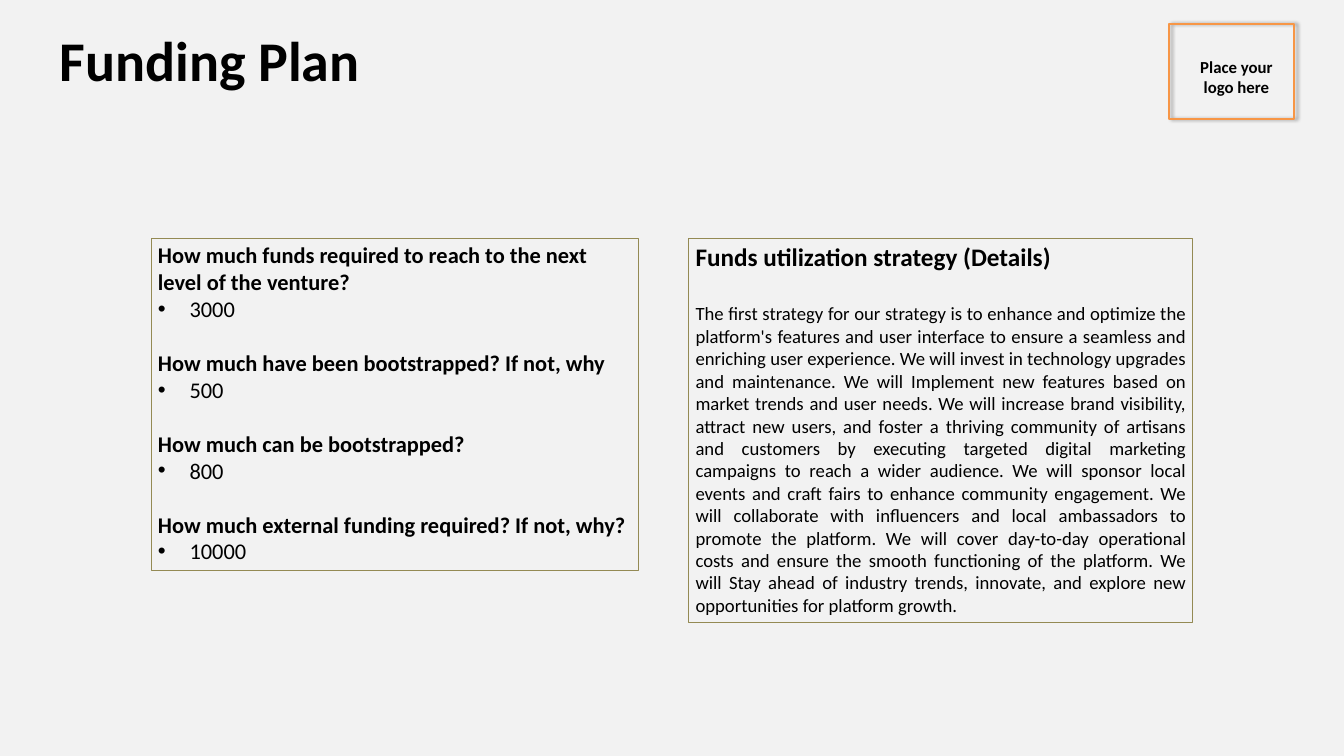
"""Build the Funding Plan slide."""
from lxml.etree import SubElement
from pptx import Presentation
from pptx.dml.color import RGBColor
from pptx.enum.shapes import MSO_SHAPE
from pptx.enum.text import MSO_ANCHOR, MSO_AUTO_SIZE, PP_ALIGN
from pptx.oxml.ns import qn
from pptx.util import Inches, Pt


def color(hex_value):
    return RGBColor.from_string(hex_value)


def format_paragraph(paragraph, text, size, bold=True, align=PP_ALIGN.LEFT, before=0, bullet=False):
    paragraph.text = text
    properties = paragraph._p.get_or_add_pPr()
    indent = Inches(0.47) if bullet else 0
    properties.set("marL", str(indent))
    properties.set("indent", str(-indent))
    if bullet:
        SubElement(properties, qn("a:buFont"), typeface="Arial")
        SubElement(properties, qn("a:buChar"), char="•")
    else:
        SubElement(properties, qn("a:buNone"))
    paragraph.alignment = align
    paragraph.space_before = Pt(before)
    font = paragraph.font
    font.name, font.size, font.bold = "Calibri", Pt(size), bold
    font.color.rgb = color("000000")


QUESTIONS = [
    ("How much funds required to reach to the next level of the venture?", "3000"),
    ("How much have been bootstrapped? If not, why", "500"),
    ("How much can be bootstrapped?", "800"),
    ("How much external funding required? If not, why?", "10000"),
]
STRATEGY = [
    "The first strategy for our strategy is to enhance and optimize the platform's features "
    "and user interface to ensure a seamless and enriching user experience.",
    "We will invest in technology upgrades and maintenance.",
    "We will Implement new features based on market trends and user needs.",
    "We will increase brand visibility, attract new users, and foster a thriving community of "
    "artisans and customers by executing targeted digital marketing campaigns to reach a wider audience.",
    "We will sponsor local events and craft fairs to enhance community engagement.",
    "We will collaborate with influencers and local ambassadors to promote the platform.",
    "We will cover day-to-day operational costs and ensure the smooth functioning of the platform.",
    "We will Stay ahead of industry trends, innovate, and explore new opportunities for platform growth.",
]

prs = Presentation()
prs.slide_width, prs.slide_height = Inches(20), Inches(11.25)
slide = prs.slides.add_slide(prs.slide_layouts[3])
slide.background.fill.solid()
slide.background.fill.fore_color.rgb = color("F2F2F2")

title, funding, utilization = slide.placeholders
title.left, title.top, title.width, title.height = Inches(0.69), Inches(0.28), Inches(11.14), Inches(1.22)
heading = title.text_frame
heading.margin_left = heading.margin_right = Inches(0.2)
heading.margin_top = heading.margin_bottom = Inches(0.1)
heading.vertical_anchor = MSO_ANCHOR.TOP
heading.auto_size = MSO_AUTO_SIZE.NONE
format_paragraph(heading.paragraphs[0], "Funding Plan", 60)

for panel, left, width, height in [(funding, 2.25, 7.25, 4.95), (utilization, 10.25, 7.5, 5.72)]:
    panel.left, panel.top = Inches(left), Inches(3.54)
    panel.width, panel.height = Inches(width), Inches(height)
    panel.line.color.rgb = color("948A54")
    panel.line.width = Pt(0.75)
    panel.text_frame.auto_size = MSO_AUTO_SIZE.NONE

answers = funding.text_frame
for number, (question, amount) in enumerate(QUESTIONS):
    asked = answers.add_paragraph() if number else answers.paragraphs[0]
    format_paragraph(asked, question, 24, before=29 if number else 0)
    format_paragraph(answers.add_paragraph(), amount, 24, bold=False, bullet=True)

details = utilization.text_frame
format_paragraph(details.paragraphs[0], "Funds utilization strategy (Details)", 27)
format_paragraph(details.add_paragraph(), " ".join(STRATEGY), 20, bold=False, align=PP_ALIGN.JUSTIFY, before=33)

logo_frame = slide.shapes.add_shape(
    MSO_SHAPE.RECTANGLE, Inches(17.4), Inches(0.36), Inches(1.85), Inches(1.41))
logo_frame.fill.background()
logo_frame.line.color.rgb = color("F79646")
logo_frame.line.width = Pt(2)
logo_frame.shadow.inherit = False
effects = logo_frame._element.spPr.find(qn("a:effectLst"))
shadow = SubElement(effects, qn("a:outerShdw"), blurRad=str(Pt(4)), dist=str(Pt(3)), dir="0")
shade = SubElement(shadow, qn("a:srgbClr"), val="000000")
SubElement(shade, qn("a:alpha"), val="40000")

logo_label = slide.shapes.add_textbox(Inches(17.62), Inches(0.8), Inches(1.56), Inches(0.68)).text_frame
logo_label.word_wrap = True
logo_label.margin_left = logo_label.margin_right = Inches(0.07)
logo_label.margin_top = logo_label.margin_bottom = Inches(0.04)
format_paragraph(logo_label.paragraphs[0], "Place your logo here", 18, align=PP_ALIGN.CENTER)

prs.save("out.pptx")
